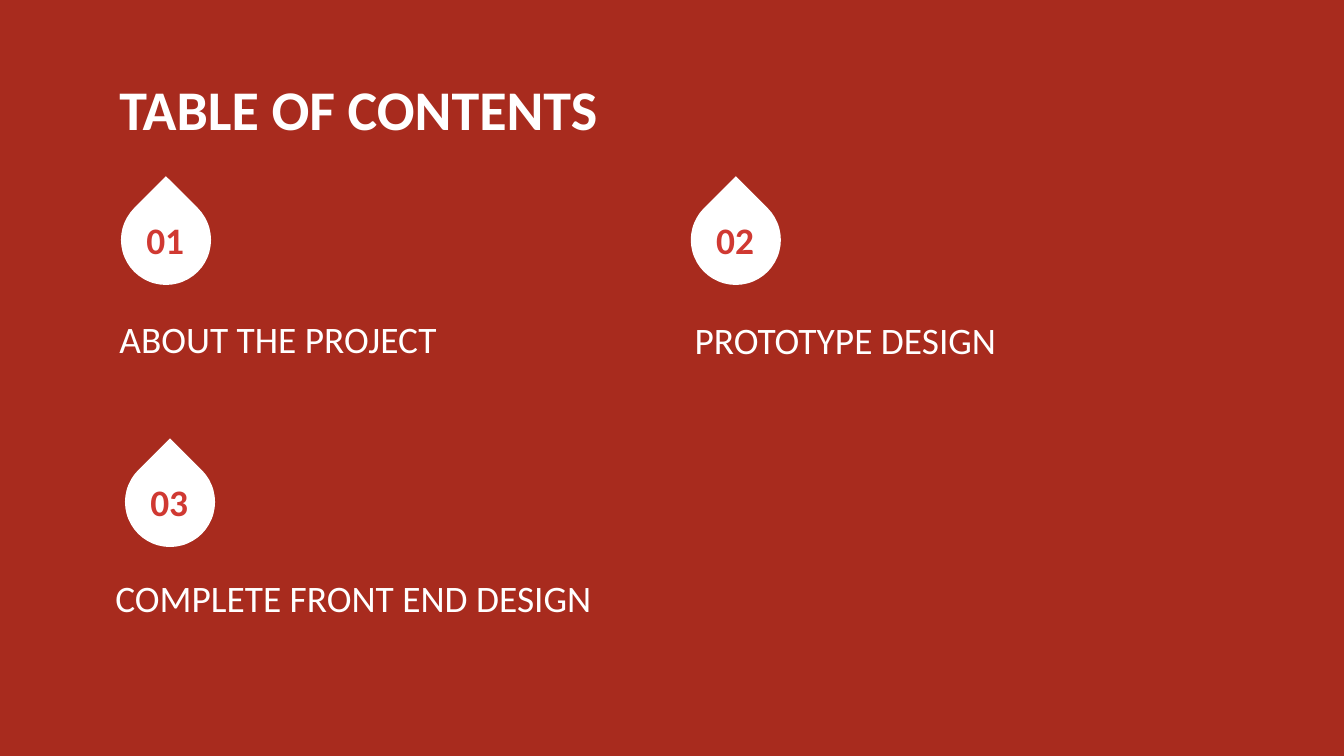
"""Build a table of contents slide with three numbered drops."""
from pptx import Presentation
from pptx.dml.color import RGBColor
from pptx.enum.shapes import MSO_SHAPE as SHAPE
from pptx.enum.text import MSO_ANCHOR as ANCHOR, PP_ALIGN as ALIGN
from pptx.util import Inches, Pt

COLORS = {"background": "A82B1E", "white": "FFFFFF", "number": "D03932"}


def rgb(name):
    return RGBColor.from_string(COLORS[name])


def add_text(s, text, x, y, w, h, size=20, color="white", bold=False, align=ALIGN.LEFT):
    tf = s.shapes.add_textbox(Inches(x), Inches(y), Inches(w), Inches(h)).text_frame
    tf.word_wrap = True
    tf.vertical_anchor = ANCHOR.MIDDLE
    tf.margin_left = tf.margin_right = tf.margin_top = tf.margin_bottom = Inches(0.1)
    p = tf.paragraphs[0]
    p.text = text
    p.alignment = align
    p.font.name = "Calibri"
    p.font.size = Pt(size)
    p.font.bold = bold
    p.font.color.rgb = rgb(color)


prs = Presentation()
prs.slide_width = Inches(10)
prs.slide_height = Inches(10) * 9 // 16
s = prs.slides.add_slide(prs.slide_layouts[6])
s.background.fill.solid()
s.background.fill.fore_color.rgb = rgb("background")

add_text(s, "TABLE OF CONTENTS", 0.79, 0.49, 8.43, 0.63, size=30, bold=True)

entries = [
    ("ABOUT THE PROJECT", 0.9, 1.45, 0.79, 2.23, 3.89),
    ("PROTOTYPE DESIGN", 5.14, 1.45, 5.07, 2.24, 3.7),
    ("COMPLETE FRONT END DESIGN", 0.93, 3.4, 0.76, 4.16, 4.17),
]
for number, (label, drop_x, drop_y, label_x, label_y, label_w) in enumerate(entries, 1):
    sp = s.shapes.add_shape(SHAPE.TEAR, Inches(drop_x), Inches(drop_y), Inches(0.67), Inches(0.67))
    sp.rotation = 315
    sp.shadow.inherit = False
    sp.fill.solid()
    sp.fill.fore_color.rgb = rgb("white")
    sp.line.fill.background()
    add_text(s, f"{number:02}", drop_x - 0.02, drop_y + 0.01, 0.7, 0.65,
             color="number", bold=True, align=ALIGN.CENTER)
    add_text(s, label, label_x, label_y, label_w, 0.58)

prs.save("out.pptx")
